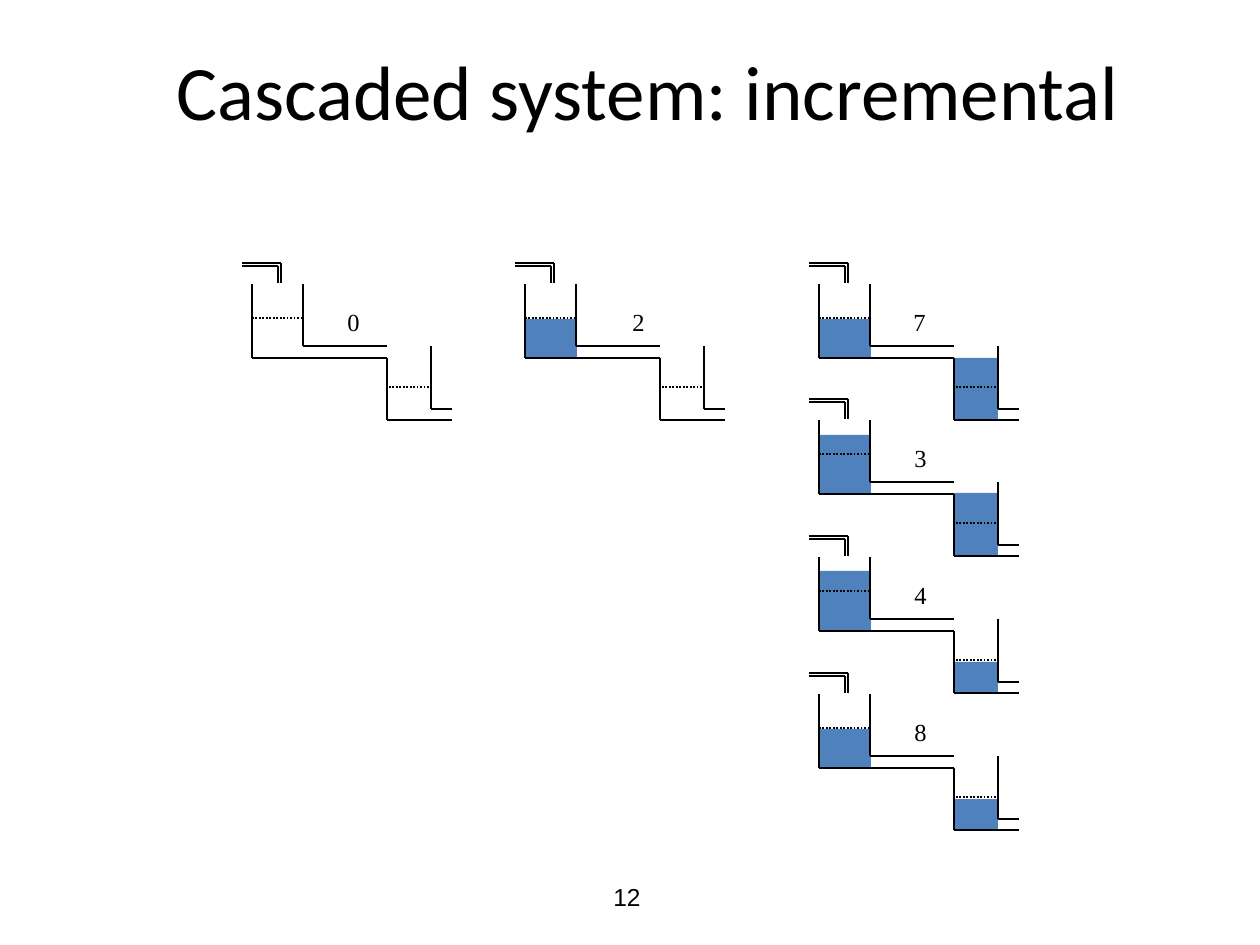
from pptx import Presentation
from pptx.dml.color import RGBColor
from pptx.enum.dml import MSO_LINE
from pptx.enum.shapes import MSO_CONNECTOR, MSO_SHAPE
from pptx.enum.text import MSO_ANCHOR, PP_ALIGN
from pptx.oxml.ns import qn
from pptx.util import Pt
from lxml import etree

STRAIGHT = MSO_CONNECTOR.STRAIGHT
RECTANGLE = MSO_SHAPE.RECTANGLE
DOTTED = MSO_LINE.ROUND_DOT
MIDDLE = MSO_ANCHOR.MIDDLE
CENTER, LEFT = PP_ALIGN.CENTER, PP_ALIGN.LEFT

THEME = {
    "ink": RGBColor(0x00, 0x00, 0x00),
    "water": RGBColor(0x4F, 0x81, 0xBD),
    "line": Pt(1),
    "title": ("Calibri", Pt(44)),
    "label": ("Times New Roman", Pt(14)),
    "number": ("Arial", Pt(14)),
}
PX = 914400 / 126  # EMU in one px


def emu(*lengths):
    return [round(length * PX) for length in lengths]


def write(box, text, style, align):
    para = box.text_frame.paragraphs[0]
    para.alignment = align
    span = para.add_run()
    span.text = text
    span.font.name, span.font.size = THEME[style]
    span.font.color.rgb = THEME["ink"]


deck = Presentation()
deck.slide_width, deck.slide_height = emu(1260, 945)
page = deck.slides.add_slide(deck.slide_layouts[5])

# Title and page number
title = page.shapes.title
title.left, title.top, title.width, title.height = emu(95, 11, 1106, 158)
title.text_frame.vertical_anchor = MIDDLE
write(title, "Cascaded system: incremental", "title", CENTER)

number = page.shapes.add_textbox(*emu(496, 876, 262, 63))
number.text_frame.word_wrap = True
write(number, "12", "number", CENTER)

# Outline of one cascade, measured from the top left of its upper tank
WALLS = [
    (0, 0, 0, 74), (0, 74, 135, 74),              # upper tank
    (51, 0, 51, 62), (51, 62, 135, 62),           # upper tank and pipe
    (135, 74, 135, 136), (135, 136, 200, 136),    # lower tank
    (179, 62, 179, 125), (179, 125, 200, 125),    # lower tank and outlet
    (-10, -21, 29, -21), (29, -21, 29, -1),       # tap, outer edge
    (-10, -18, 26, -18), (26, -18, 26, -1),       # tap, inner edge
]
MARKS = [(0, 34, 51, 34), (137, 103, 181, 103)]   # level marks

# Tank left, width and bottom
UPPER_TANK = (0, 52, 74)
LOWER_TANK = (135, 44, 136)

# Left, row, label, label offset, upper and lower water depth
CASCADES = [
    (252, 0, "0", 83, 0, 0),
    (525, 0, "2", 95, 39, 0),
    (819, 0, "7", 82, 39, 62),
    (819, 1, "3", 83, 59, 63),
    (819, 2, "4", 83, 60, 31),
    (819, 3, "8", 83, 39, 31),
]
FIRST_TOP, ROW_PITCH = 284, 136.5

for left, row, label, label_offset, *depths in CASCADES:
    top = FIRST_TOP + round(row * ROW_PITCH)

    # Water
    for (tank_left, width, bottom), depth in zip((UPPER_TANK, LOWER_TANK), depths):
        if depth:
            water = page.shapes.add_shape(
                RECTANGLE, *emu(left + tank_left, top + bottom - depth, width, depth))
            water.shadow.inherit = False
            water.fill.solid()
            water.fill.fore_color.rgb = THEME["water"]
            water.line.fill.background()

    # Walls, tap and level marks
    for x1, y1, x2, y2 in WALLS + MARKS:
        edge = page.shapes.add_connector(
            STRAIGHT, *emu(left + x1, top + y1, left + x2, top + y2))
        edge.line.color.rgb = THEME["ink"]
        edge.line.width = THEME["line"]
        if (x1, y1, x2, y2) in MARKS:
            edge.line.dash_style = DOTTED
        etree.SubElement(edge.element.spPr, qn("a:effectLst"))

    # Step label
    box = page.shapes.add_textbox(*emu(left + label_offset, top + 17, 38, 42))
    box.text_frame.word_wrap = False
    write(box, label, "label", LEFT)

deck.save("out.pptx")
